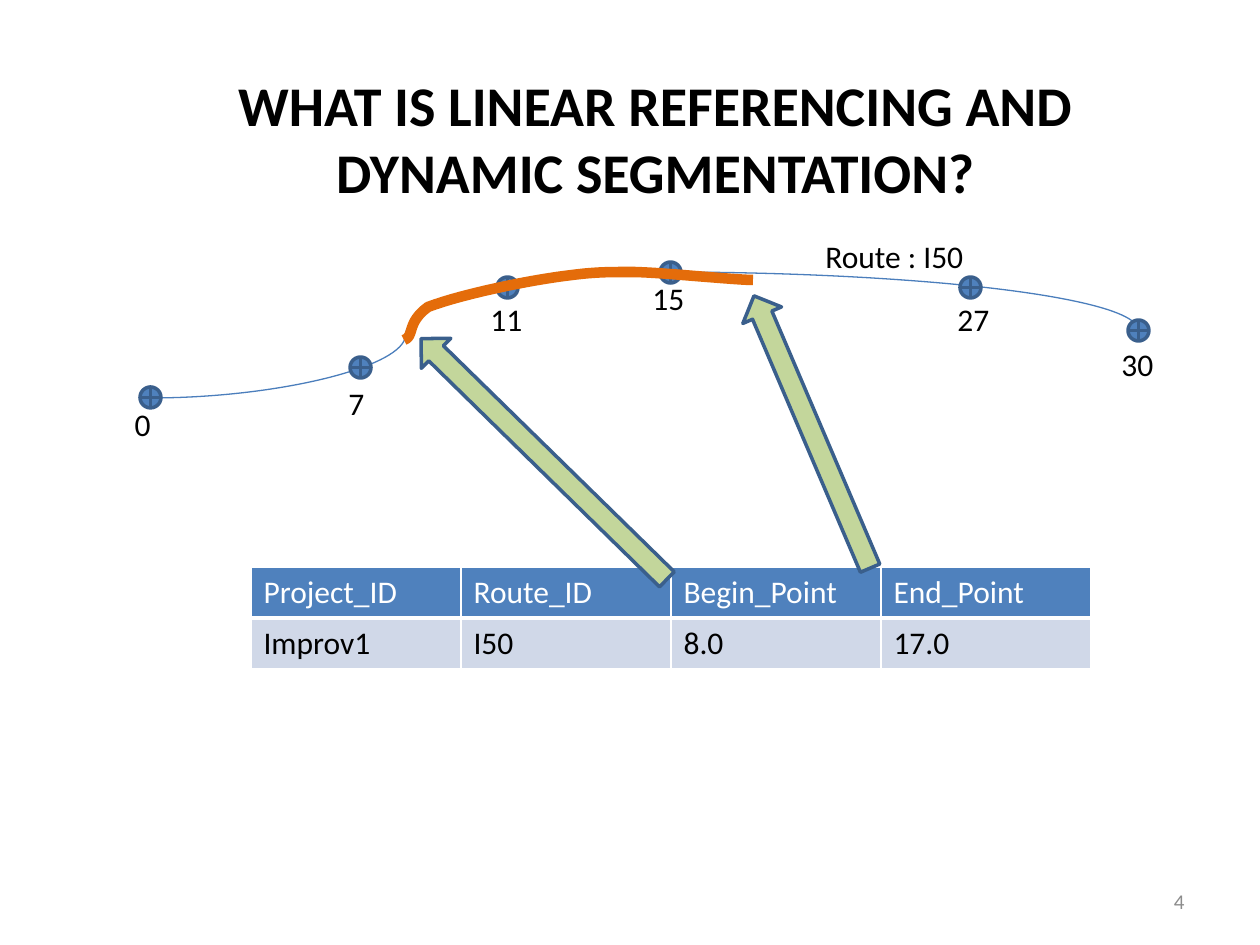
from dataclasses import dataclass

from lxml.etree import SubElement
from pptx import Presentation
from pptx.dml.color import RGBColor
from pptx.enum.shapes import MSO_CONNECTOR, MSO_SHAPE
from pptx.enum.text import MSO_ANCHOR, PP_ALIGN
from pptx.oxml.ns import qn
from pptx.util import Emu, Pt


@dataclass(frozen=True)
class Theme:
    """Colours, font and type sizes of the slide."""
    font: str = "Calibri"
    ink: str = "000000"
    white: str = "FFFFFF"
    gray: str = "8C8C8C"
    blue: str = "4F81BD"
    edge: str = "3A5F8C"
    route: str = "4B7EBC"
    pale: str = "D0D8E8"
    green: str = "C3D69B"
    orange: str = "E46C0A"
    title: int = 32
    body: int = 18
    small: int = 12


THEME = Theme()
STOPS = [
    ("0", (150, 397), (126, 399, 21, 50)),
    ("7", (360, 367), (336, 378, 42, 50)),
    ("11", (507, 287), (478, 294, 58, 50)),
    ("15", (670, 272), (640, 273, 58, 50)),
    ("27", (970, 287), (945, 294, 58, 50)),
    ("30", (1138, 330), (1109, 339, 58, 50)),
]
ROWS = [
    ["Project_ID", "Route_ID", "Begin_Point", "End_Point"],
    ["Improv1", "I50", "8.0", "17.0"],
]
START = (404, 340)
CURVES = [
    [(415, 336), (406, 323), (428, 307)],
    [(454, 297), (509, 284), (557, 277)],
    [(593, 272), (602, 272), (635, 272)],
    [(668, 273), (735, 280), (753, 280)],
]


def px(n):
    """Turn px into EMU."""
    return Emu(round(n * 914400 / 126))


def rgb(code):
    """Make a colour from its hex code."""
    return RGBColor.from_string(code)


def write(frame, text, size=THEME.body, color=THEME.ink, bold=False,
          align=PP_ALIGN.LEFT, anchor=MSO_ANCHOR.TOP, wrap=True):
    """Put one formatted paragraph in a text frame."""
    frame.word_wrap = wrap
    frame.vertical_anchor = anchor
    para = frame.paragraphs[0]
    para.alignment = align
    run = para.add_run()
    run.text = text
    run.font.name = THEME.font
    run.font.size = Pt(size)
    run.font.bold = bold
    run.font.color.rgb = rgb(color)


def label(slide, text, box, **style):
    """Add a text box."""
    write(slide.shapes.add_textbox(*map(px, box)).text_frame, text, **style)


def paint(shape, fill, line, width):
    """Set fill and line and drop the shadow."""
    shape.shadow.inherit = False
    if fill:
        shape.fill.solid()
        shape.fill.fore_color.rgb = rgb(fill)
    else:
        shape.fill.background()
    shape.line.color.rgb = rgb(line)
    shape.line.width = Pt(width)


def draw(slide, kind, box, fill=None, line=THEME.edge, width=2, turn=0):
    """Add a preset shape."""
    shape = slide.shapes.add_shape(kind, *map(px, box))
    shape.rotation = turn
    paint(shape, fill, line, width)


def link(slide, start, end):
    """Add the curved first half of the route."""
    line = slide.shapes.add_connector(
        MSO_CONNECTOR.CURVE, *map(px, start + end))
    line.line.color.rgb = rgb(THEME.route)
    line.line.width = Pt(0.75)
    SubElement(line._element.spPr, qn("a:effectLst"))


def bend(start, curves, steps=12):
    """List points along a chain of cubic curves."""
    points = []
    for one, two, end in curves:
        for i in range(1, steps + 1):
            t = i / steps
            u = 1 - t
            points.append(tuple(
                px(u**3 * a + 3 * u * u * t * b + 3 * u * t * t * c + t**3 * d)
                for a, b, c, d in zip(start, one, two, end)))
        start = end
    return points


def segment(slide):
    """Add the thick stretch of the route."""
    form = slide.shapes.build_freeform(*map(px, START))
    form.add_line_segments(bend(START, CURVES), close=False)
    paint(form.convert_to_shape(), None, THEME.orange, 6)


def border(cell, base):
    """Give a cell white edges, with its own base width."""
    props = cell._tc.get_or_add_tcPr()
    for side, width in zip("LRTB", (1, 1, 1, base)):
        line = SubElement(props, qn(f"a:ln{side}"), w=str(Pt(width)))
        fill = SubElement(line, qn("a:solidFill"))
        SubElement(fill, qn("a:srgbClr"), val=THEME.white)


def grid(slide):
    """Add the project table."""
    table = slide.shapes.add_table(
        2, 4, *map(px, (251, 567, 840, 102))).table
    looks = [(THEME.blue, THEME.white, 3), (THEME.pale, THEME.ink, 1)]
    for r, (row, (fill, color, base)) in enumerate(zip(ROWS, looks)):
        for c, text in enumerate(row):
            cell = table.cell(r, c)
            border(cell, base)
            cell.fill.solid()
            cell.fill.fore_color.rgb = rgb(fill)
            write(cell.text_frame, text, color=color)


def head(slide, text, box):
    """Move and fill the title placeholder."""
    title = slide.shapes.title
    title.left, title.top, title.width, title.height = map(px, box)
    write(title.text_frame, text, size=THEME.title, bold=True,
          align=PP_ALIGN.CENTER, anchor=MSO_ANCHOR.MIDDLE)


def main():
    """Build and save the slide."""
    deck = Presentation()
    deck.slide_width, deck.slide_height = px(1260), px(945)
    slide = deck.slides.add_slide(deck.slide_layouts[5])
    head(slide, "WHAT IS LINEAR REFERENCING AND DYNAMIC SEGMENTATION?",
         (183, 63, 945, 149))
    draw(slide, MSO_SHAPE.ARC, (183, 272, 955, 116),
         line=THEME.route, width=0.75)
    link(slide, (660, 272), (151, 398))
    for text, (x, y), box in STOPS:
        draw(slide, MSO_SHAPE.FLOWCHART_OR, (x - 10, y - 10, 21, 21),
             fill=THEME.blue)
        label(slide, text, box)
    grid(slide)
    segment(slide)
    for box, turn in [((372, 438, 344, 42), 44.4),
                      ((664, 411, 296, 42), 66.9)]:
        draw(slide, MSO_SHAPE.LEFT_ARROW, box, fill=THEME.green, turn=turn)
    label(slide, "Route : I50", (813, 231, 165, 50), wrap=False)
    label(slide, "4", (903, 876, 294, 50), size=THEME.small,
          color=THEME.gray, align=PP_ALIGN.RIGHT, anchor=MSO_ANCHOR.MIDDLE)
    deck.save("out.pptx")


if __name__ == "__main__":
    main()
